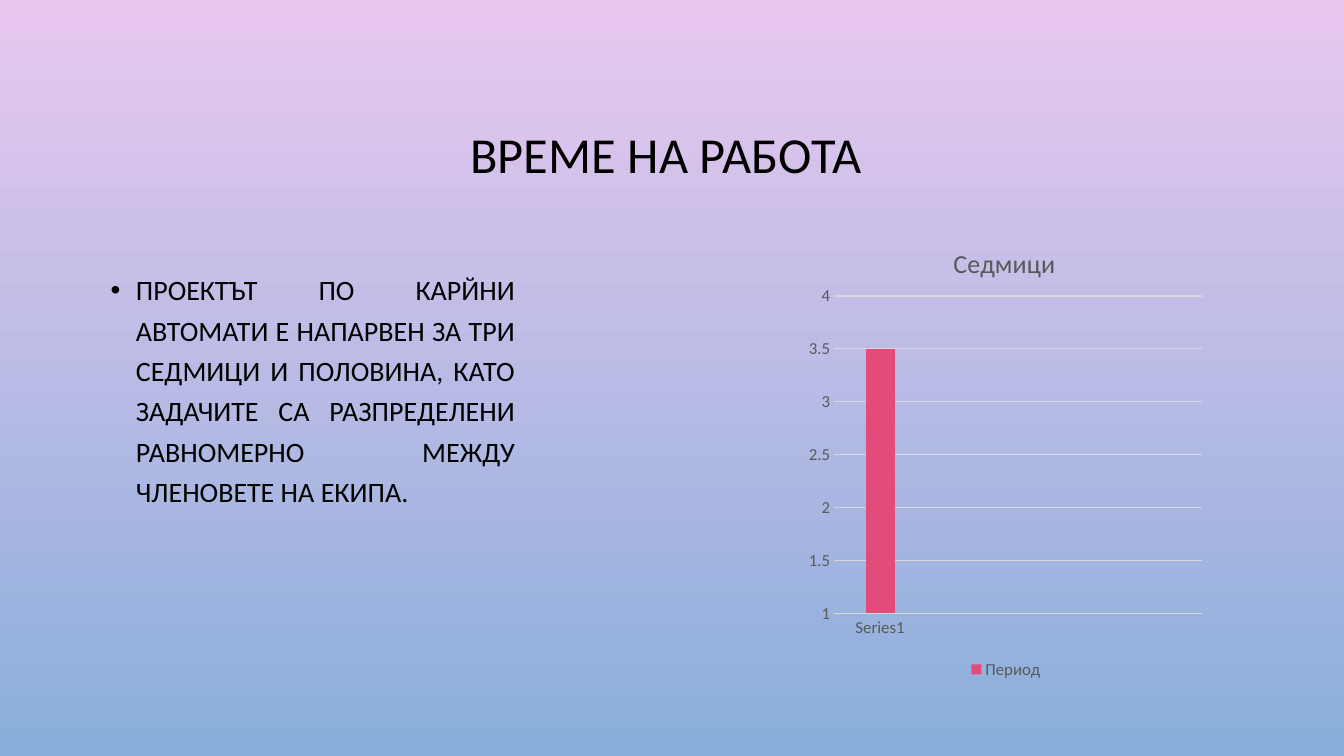
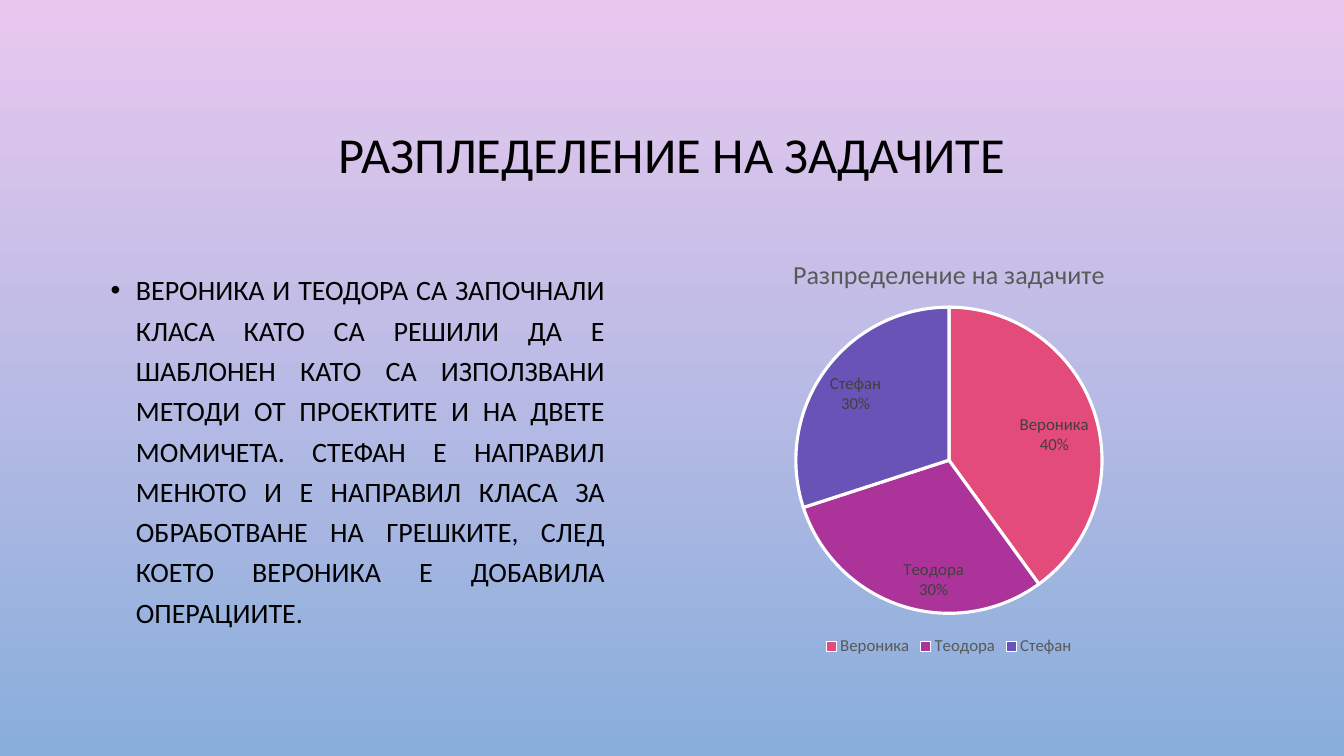
from dataclasses import dataclass

from lxml import etree
from pptx import Presentation
from pptx.chart.chart import Chart
from pptx.chart.data import CategoryChartData
from pptx.dml.color import RGBColor
from pptx.enum.chart import XL_CHART_TYPE, XL_LABEL_POSITION, XL_LEGEND_POSITION, XL_TICK_MARK
from pptx.enum.text import MSO_ANCHOR, PP_ALIGN
from pptx.oxml.ns import qn
from pptx.oxml.xmlchemy import OxmlElement
from pptx.presentation import Presentation as Deck
from pptx.slide import Slide
from pptx.util import Pt

COLUMN = XL_CHART_TYPE.COLUMN_CLUSTERED
PIE = XL_CHART_TYPE.PIE
INSIDE_END = XL_LABEL_POSITION.INSIDE_END
BOTTOM = XL_LEGEND_POSITION.BOTTOM
NO_TICK = XL_TICK_MARK.NONE
TOP, MIDDLE = MSO_ANCHOR.TOP, MSO_ANCHOR.MIDDLE
CENTER, JUSTIFY = PP_ALIGN.CENTER, PP_ALIGN.JUSTIFY


@dataclass(frozen=True)
class Theme:
    font: str = "Calibri"
    text: str = "000000"
    muted: str = "595959"
    label: str = "404040"
    grid: str = "D9D9D9"
    white: str = "FFFFFF"
    background: tuple[str, str] = ("E9C8EF", "89AEDB")
    accents: tuple[str, ...] = ("E34B7A", "AC339A", "6953B7")
    title_size: float = 36
    body_size: float = 20
    chart_title_size: float = 18.6
    chart_size: float = 12
    grid_width: float = 0.75
    slice_width: float = 2.25


@dataclass(frozen=True)
class Box:
    left: float
    top: float
    width: float
    height: float

    def emu(self) -> tuple[Pt, Pt, Pt, Pt]:
        return Pt(self.left), Pt(self.top), Pt(self.width), Pt(self.height)


@dataclass(frozen=True)
class ChartSpec:
    kind: XL_CHART_TYPE
    box: Box
    plot: Box
    title: str
    title_at: tuple[float, float]
    series: str
    points: dict[str, float | None] | list[tuple[str, float | None]]


@dataclass(frozen=True)
class Topic:
    title: str
    body: str
    body_width: float
    chart: ChartSpec


THEME = Theme()
TITLE_BOX = Box(72, 49, 816, 126)
BODY_LEFT, BODY_TOP, BODY_HEIGHT = 72, 186.5, 269.3

TOPICS = (
    Topic(
        "ВРЕМЕ НА РАБОТА ",
        "ПРОЕКТЪТ ПО КАРЙНИ АВТОМАТИ Е НАПАРВЕН ЗА ТРИ СЕДМИЦИ И ПОЛОВИНА, "
        "КАТО ЗАДАЧИТЕ СА РАЗПРЕДЕЛЕНИ РАВНОМЕРНО МЕЖДУ ЧЛЕНОВЕТЕ НА ЕКИПА.",
        303,
        ChartSpec(COLUMN, Box(572.4, 154.8, 292.3, 333.4), Box(0.08, 0.17, 0.9, 0.68),
                  "Седмици", (0.36, 0.05), "Период",
                  [("Series1", 3.5), ("", None), ("", None), ("", None)]),
    ),
    Topic(
        "РАЗПЛЕДЕЛЕНИЕ НА ЗАДАЧИТЕ",
        "ВЕРОНИКА И ТЕОДОРА СА ЗАПОЧНАЛИ КЛАСА КАТО СА РЕШИЛИ ДА Е ШАБЛОНЕН "
        "КАТО СА ИЗПОЛЗВАНИ МЕТОДИ ОТ ПРОЕКТИТЕ И НА ДВЕТЕ МОМИЧЕТА. СТЕФАН Е "
        "НАПРАВИЛ МЕНЮТО И Е НАПРАВИЛ КЛАСА ЗА ОБРАБОТВАНЕ НА ГРЕШКИТЕ, СЛЕД "
        "КОЕТО ВЕРОНИКА Е ДОБАВИЛА ОПЕРАЦИИТЕ.",
        367.2,
        ChartSpec(PIE, Box(480.2, 167.8, 395.3, 303.8), Box(0.22, 0.17, 0.56, 0.72),
                  "Разпределение на задачите", (0.21, 0.04), "Series 1",
                  [("Вероника", 40), ("Теодора", 30), ("Стефан", 30)]),
    ),
)


def rgb(color: str) -> RGBColor:
    return RGBColor.from_string(color)


def set_font(font, size: float, color: str) -> None:
    font.name = THEME.font
    font.size = Pt(size)
    font.bold = False
    font.color.rgb = rgb(color)


def add_text(slide: Slide, box: Box, text: str, *, size: float, align: PP_ALIGN,
             anchor: MSO_ANCHOR = TOP, spacing: float = 1.0, before: float = 0,
             indent: float = 0) -> None:
    tf = slide.shapes.add_textbox(*box.emu()).text_frame
    tf.word_wrap = True
    tf.vertical_anchor = anchor
    p = tf.paragraphs[0]
    p.alignment = align
    p.line_spacing = spacing
    p.space_before = Pt(before)
    r = p.add_run()
    r.text = text
    set_font(r.font, size, THEME.text)
    if indent:
        ppr = p._p.get_or_add_pPr()
        ppr.set("marL", str(Pt(indent)))
        ppr.set("indent", str(-Pt(indent)))
        etree.SubElement(ppr, qn("a:buFont")).set("typeface", "Arial")
        etree.SubElement(ppr, qn("a:buChar")).set("char", "•")


def place(parent, **values: float | str) -> None:
    for old in parent.findall(qn("c:layout")):
        parent.remove(old)
    layout = OxmlElement("c:layout")
    manual = etree.SubElement(layout, qn("c:manualLayout"))
    for name, value in values.items():
        etree.SubElement(manual, qn(f"c:{name}")).set("val", str(value))
    has_text = parent.find(qn("c:tx")) is not None
    parent.insert(1 if has_text else 0, layout)


def style_columns(chart: Chart) -> None:
    plot = chart.plots[0]
    plot.gap_width = 219
    plot.overlap = -27
    fill = plot.series[0].format.fill
    fill.solid()
    fill.fore_color.rgb = rgb(THEME.accents[0])
    value, category = chart.value_axis, chart.category_axis
    value.minimum_scale, value.maximum_scale, value.major_unit = 1, 4, 0.5
    value.has_major_gridlines = True
    for axis in (value, category):
        axis.major_tick_mark = axis.minor_tick_mark = NO_TICK
        set_font(axis.tick_labels.font, THEME.chart_size, THEME.muted)
    value.format.line.fill.background()
    for line in (value.major_gridlines.format.line, category.format.line):
        line.color.rgb = rgb(THEME.grid)
        line.width = Pt(THEME.grid_width)


def style_pie(chart: Chart) -> None:
    plot = chart.plots[0]
    for i, color in enumerate(THEME.accents):
        fmt = plot.series[0].points[i].format
        fmt.fill.solid()
        fmt.fill.fore_color.rgb = rgb(color)
        fmt.line.color.rgb = rgb(THEME.white)
        fmt.line.width = Pt(THEME.slice_width)
    plot.has_data_labels = True
    labels = plot.data_labels
    labels.show_value = False
    labels.show_percentage = labels.show_category_name = True
    labels.position = INSIDE_END
    set_font(labels.font, THEME.chart_size, THEME.label)


def add_chart(slide: Slide, spec: ChartSpec) -> None:
    data = CategoryChartData()
    data.categories = [name for name, _ in spec.points]
    data.add_series(spec.series, [value for _, value in spec.points])
    chart = slide.shapes.add_chart(spec.kind, *spec.box.emu(), data).chart
    set_font(chart.font, THEME.chart_size, THEME.muted)
    chart.has_title = True
    p = chart.chart_title.text_frame.paragraphs[0]
    r = p.add_run()
    r.text = spec.title
    set_font(r.font, THEME.chart_title_size, THEME.muted)
    x, y = spec.title_at
    place(chart.chart_title._element, xMode="edge", yMode="edge", x=x, y=y)
    plot = spec.plot
    place(chart._chartSpace.chart.plotArea, layoutTarget="inner", xMode="edge",
          yMode="edge", x=plot.left, y=plot.top, w=plot.width, h=plot.height)
    chart.has_legend = True
    chart.legend.position = BOTTOM
    chart.legend.include_in_layout = False
    set_font(chart.legend.font, THEME.chart_size, THEME.muted)
    is_pie = spec.kind == PIE
    chart.plots[0].vary_by_categories = is_pie
    (style_pie if is_pie else style_columns)(chart)


def set_background(prs: Deck) -> None:
    fill = prs.slide_master.background.fill
    fill.gradient()
    fill.gradient_angle = 270
    for stop, color, position in zip(fill.gradient_stops, THEME.background, (0, 1)):
        stop.color.rgb = rgb(color)
        stop.position = position


def add_topic(prs: Deck, topic: Topic) -> None:
    slide = prs.slides.add_slide(prs.slide_layouts[6])
    add_text(slide, TITLE_BOX, topic.title, size=THEME.title_size, align=CENTER,
             anchor=MIDDLE, spacing=0.9)
    body_box = Box(BODY_LEFT, BODY_TOP, topic.body_width, BODY_HEIGHT)
    add_text(slide, body_box, topic.body, size=THEME.body_size, align=JUSTIFY,
             spacing=1.2, before=10, indent=18)
    add_chart(slide, topic.chart)


def main() -> None:
    prs = Presentation()
    prs.slide_width, prs.slide_height = Pt(960), Pt(540)
    set_background(prs)
    for topic in TOPICS:
        add_topic(prs, topic)
    prs.save("out.pptx")


if __name__ == "__main__":
    main()
